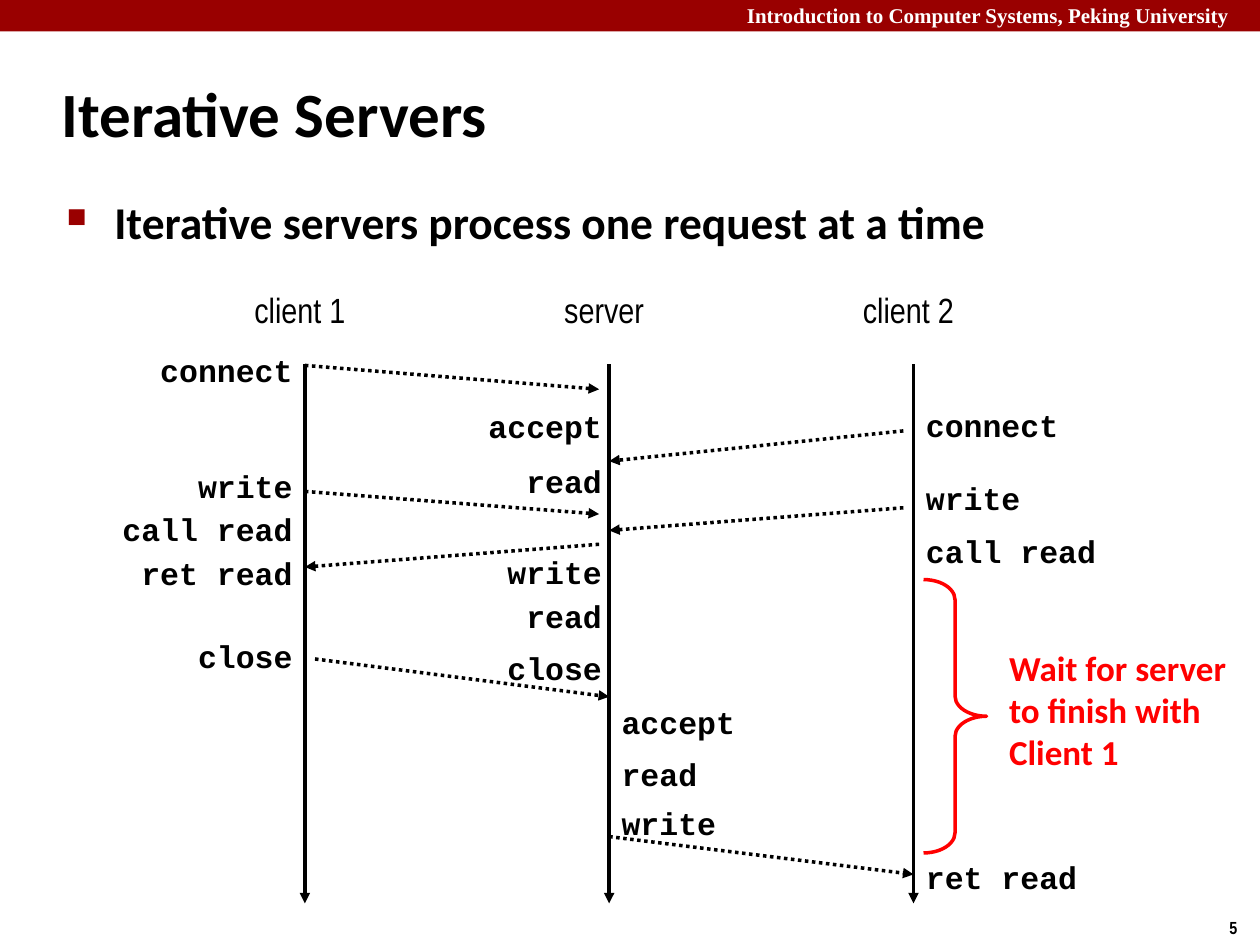
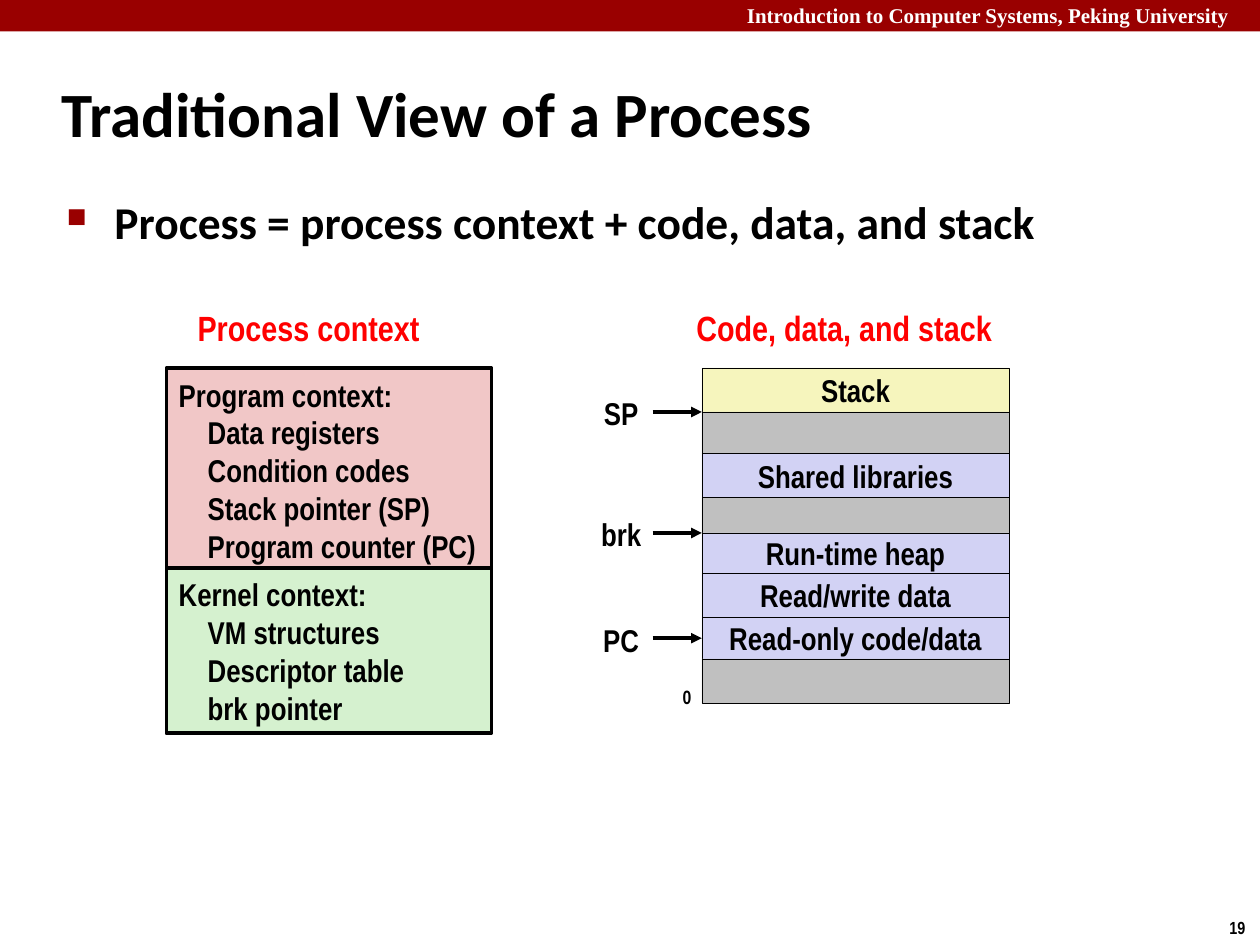
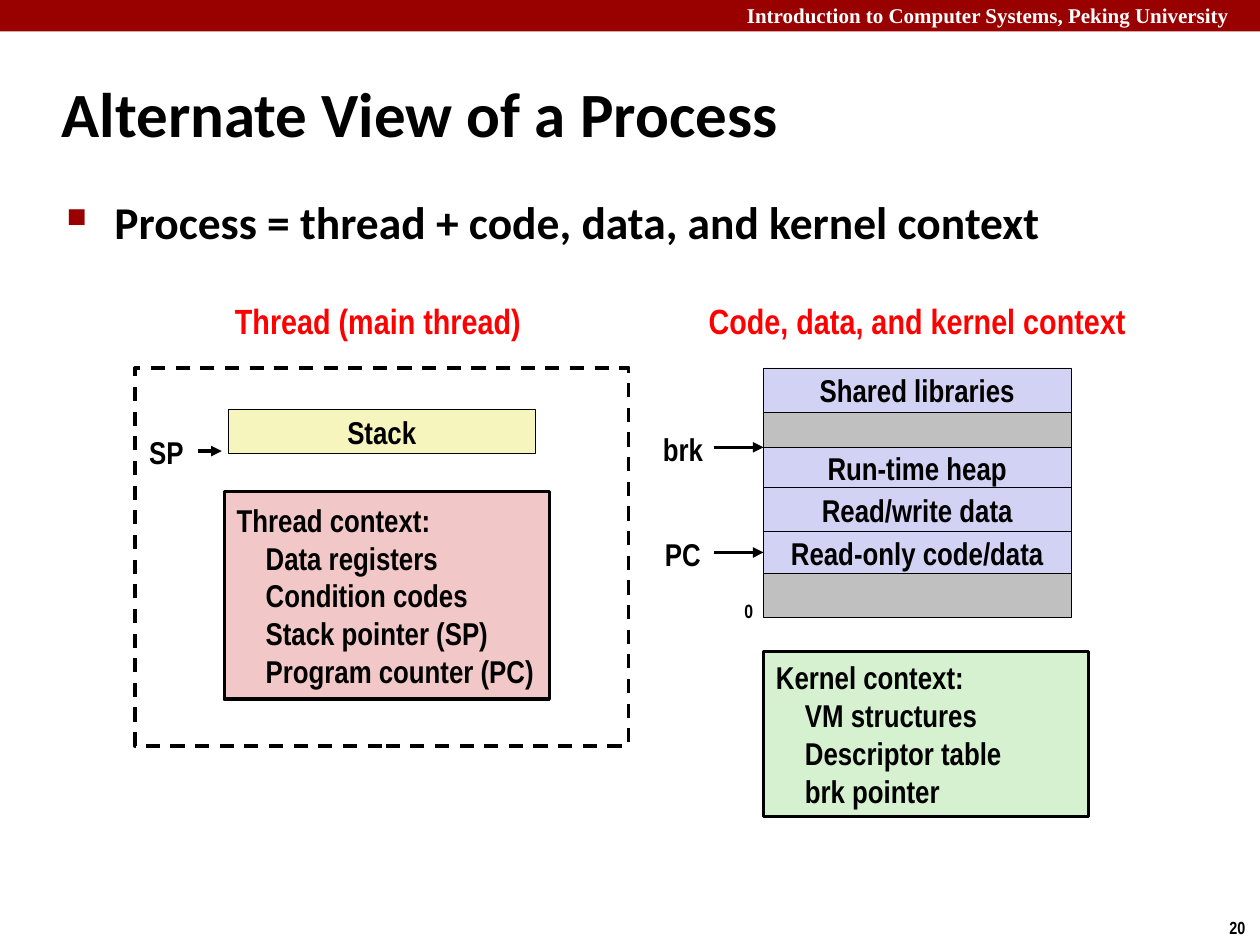
import dataclasses

import lxml.etree
import pptx
import pptx.dml.color
import pptx.enum.dml
import pptx.enum.shapes
import pptx.enum.text
import pptx.oxml.ns
import pptx.util

Inches = pptx.util.Inches
Dash = pptx.enum.dml.MSO_LINE
Shape = pptx.enum.shapes.MSO_SHAPE
Align = pptx.enum.text.PP_ALIGN
Anchor = pptx.enum.text.MSO_ANCHOR


@dataclasses.dataclass(frozen=True)
class Theme:
    band: str = "990000"
    ink: str = "000000"
    paper: str = "FFFFFF"
    accent: str = "FF0000"
    shared: str = "D2D2F4"
    free: str = "C0C0C0"
    stack: str = "F6F5BD"
    program: str = "F1C7C7"
    kernel: str = "D5F1CF"
    heading_font: str = "Calibri"
    label_font: str = "Arial Narrow"
    code_font: str = "Courier New"
    band_font: str = "Times New Roman"
    title_size: int = 36
    bullet_size: int = 26
    heading_size: int = 20
    label_size: int = 18
    band_size: int = 12
    zero_size: int = 11
    number_size: int = 10
    thick: float = 2
    thin: float = 0.25


THEME = Theme()
WIDTH, HEIGHT = 10, 7.5
COURSE = "Introduction to Computer Systems, Peking University"

# Sequence diagram: three lifelines at equal gaps
ACTORS = ["client 1", "server", "client 2"]
FIRST_LIFELINE, LIFELINE_GAP = 2.42, 2.415
LIFELINE_TOP, LIFELINE_BOTTOM = 2.89, 7.17
LEFT_CALLS = {
    "client 1": [("connect", 2.74), ("write", 3.66), ("call read", 4.0),
                 ("ret read", 4.35), ("close", 5.01)],
    "server": [("accept", 3.18), ("read", 3.62), ("write", 4.34),
               ("read", 4.69), ("close", 5.1)],
}
RIGHT_CALLS = {
    "server": [("accept", 5.53), ("read", 5.94), ("write", 6.33)],
    "client 2": [("connect", 3.17), ("write", 3.75), ("call read", 4.17),
                 ("ret read", 6.76)],
}
# sender, gap after sender, y sent, receiver, gap before receiver, y received
MESSAGES = [
    ("client 1", 0, 2.9, "server", 0.08, 3.09),
    ("client 2", 0.08, 3.42, "server", 0, 3.66),
    ("client 1", 0, 3.9, "server", 0.08, 4.08),
    ("client 2", 0.08, 4.03, "server", 0, 4.21),
    ("server", 0.08, 4.32, "client 1", 0, 4.5),
    ("client 1", 0.08, 5.23, "server", 0, 5.53),
    ("server", 0, 6.64, "client 2", 0, 6.94),
]

# Memory segments from high to low addresses: key, label, height, fill
LOWER_MEMORY = [
    ("shared", "Shared libraries", 0.35, THEME.shared),
    ("heap gap", "", 0.28, THEME.free),
    ("heap", "Run-time heap", 0.32, THEME.shared),
    ("data", "Read/write data", 0.35, THEME.shared),
    ("code", "Read-only code/data", 0.33, THEME.shared),
    ("bottom", "", 0.35, THEME.free),
]
FULL_MEMORY = [
    ("stack", "Stack", 0.35, THEME.stack),
    ("stack gap", "", 0.33, THEME.free),
] + LOWER_MEMORY
DIAGRAM_TOP, SEGMENT_WIDTH, CONTEXT_WIDTH = 2.92, 2.44, 2.58
POINTER_LENGTH = 0.39

REGISTERS = ["Data registers", "Condition codes", "Stack pointer (SP)",
             "Program counter (PC)"]
KERNEL = ["VM structures", "Descriptor table", "brk pointer"]


def rgb(value):
    return pptx.dml.color.RGBColor.from_string(value)


def write(shape, lines, *, font=THEME.label_font, size=THEME.label_size, color=THEME.ink,
          bold=True, align=Align.LEFT, anchor=Anchor.TOP, indent=0, right_inset=0.1):
    """Fill a shape with text; every line after the first is indented."""
    frame = shape.text_frame
    frame.word_wrap = True
    frame.vertical_anchor = anchor
    frame.margin_right = Inches(right_inset)
    frame.text = "\n".join([lines] if isinstance(lines, str) else lines)
    for index, paragraph in enumerate(frame.paragraphs):
        paragraph.alignment = align
        if index and indent:
            paragraph._p.get_or_add_pPr().set("marL", str(Inches(indent)))
        for run in paragraph.runs:
            run.font.name, run.font.size, run.font.bold = font, pptx.util.Pt(size), bold
            run.font.color.rgb = rgb(color)
    return shape


def add_text(slide, text, left, top, width, height=0.4, **style):
    box = slide.shapes.add_textbox(*map(Inches, (left, top, width, height)))
    return write(box, text, **style)


def add_block(slide, left, top, width, height, *, kind=Shape.RECTANGLE, fill=None,
              line=None, weight=THEME.thick, dash=None):
    shape = slide.shapes.add_shape(kind, *map(Inches, (left, top, width, height)))
    shape.shadow.inherit = False
    if fill:
        shape.fill.solid()
        shape.fill.fore_color.rgb = rgb(fill)
    else:
        shape.fill.background()
    if line:
        shape.line.color.rgb = rgb(line)
        shape.line.width = pptx.util.Pt(weight)
        if dash:
            shape.line.dash_style = dash
    else:
        shape.line.fill.background()
    return shape


def add_arrow(slide, start, end, dash=None):
    arrow = slide.shapes.add_connector(pptx.enum.shapes.MSO_CONNECTOR.STRAIGHT,
                                       *map(Inches, (*start, *end)))
    arrow.line.color.rgb = rgb(THEME.ink)
    arrow.line.width = pptx.util.Pt(THEME.thick)
    if dash:
        arrow.line.dash_style = dash
    qn = pptx.oxml.ns.qn
    properties = arrow._element.spPr
    lxml.etree.SubElement(properties.find(qn("a:ln")), qn("a:tailEnd"), type="triangle")
    lxml.etree.SubElement(properties, qn("a:effectLst"))


def add_bullet(slide, text):
    box = add_text(slide, text, 0.43, 1.49, 8.64, 0.6,
                   font=THEME.heading_font, size=THEME.bullet_size)
    properties = box.text_frame.paragraphs[0]._p.get_or_add_pPr()
    properties.set("marL", str(Inches(0.38)))
    properties.set("indent", str(-Inches(0.38)))
    qn = pptx.oxml.ns.qn
    color = lxml.etree.SubElement(properties, qn("a:buClr"))
    lxml.etree.SubElement(color, qn("a:srgbClr"), val=THEME.band)
    lxml.etree.SubElement(properties, qn("a:buSzPct"), val="60000")
    lxml.etree.SubElement(properties, qn("a:buChar"), char="■")


def add_page(presentation, title, bullet, number):
    slide = presentation.slides.add_slide(presentation.slide_layouts.get_by_name("Title Only"))
    add_block(slide, 0, 0, WIDTH, 0.25, fill=THEME.band)
    add_text(slide, COURSE, 5.83, -0.03, 4.24, 0.3, font=THEME.band_font,
             size=THEME.band_size, color=THEME.paper)
    add_text(slide, str(number), 9.66, 7.23, 0.34, 0.27, size=THEME.number_size)
    heading = slide.shapes.title
    heading.left, heading.top, heading.width, heading.height = map(
        Inches, (0.39, 0.48, 8.3, 0.83))
    write(heading, title, font=THEME.heading_font, size=THEME.title_size, anchor=Anchor.MIDDLE)
    add_bullet(slide, bullet)
    return slide


def add_heading(slide, text, center, top, **style):
    width = 4
    add_text(slide, text, center - width / 2, top, width, 0.44, align=Align.CENTER,
             anchor=Anchor.MIDDLE, size=THEME.heading_size, **style)


def add_segment(slide, label, left, top, height, fill):
    block = add_block(slide, left, top, SEGMENT_WIDTH, height, fill=fill,
                      line=THEME.ink, weight=THEME.thin)
    if label:
        write(block, label, align=Align.CENTER, anchor=Anchor.MIDDLE)


def add_memory(slide, segments, left):
    """Stack the segments downwards and return the top and bottom of each."""
    edges, top = {}, DIAGRAM_TOP
    for key, label, height, fill in segments:
        add_segment(slide, label, left, top, height, fill)
        edges[key] = (top, top + height)
        top += height
    add_text(slide, "0", left - 0.25, top - 0.19, 0.27, 0.29, size=THEME.zero_size)
    add_pointer(slide, "brk", left, edges["heap"][0])
    add_pointer(slide, "PC", left, sum(edges["code"]) / 2)
    return edges


def add_pointer(slide, label, tip, y, length=POINTER_LENGTH):
    add_arrow(slide, (tip - length, y), (tip, y))
    width = 0.8
    add_text(slide, label, tip - length - 0.25 - width / 2, y - 0.19, width,
             align=Align.CENTER, anchor=Anchor.MIDDLE)


def add_context(slide, name, items, left, top, height, fill):
    block = add_block(slide, left, top, CONTEXT_WIDTH, height, fill=fill, line=THEME.ink)
    write(block, [name] + items, anchor=Anchor.MIDDLE, indent=0.23, right_inset=0)


def add_sequence(slide):
    lifelines = {actor: FIRST_LIFELINE + index * LIFELINE_GAP
                 for index, actor in enumerate(ACTORS)}
    for actor, x in lifelines.items():
        add_heading(slide, actor, x - 0.04, 2.24, bold=False)
        add_arrow(slide, (x, LIFELINE_TOP), (x, LIFELINE_BOTTOM))
    call_width = 1.8
    for calls, align in ((LEFT_CALLS, Align.RIGHT), (RIGHT_CALLS, Align.LEFT)):
        for actor, entries in calls.items():
            left = lifelines[actor]
            if align == Align.RIGHT:
                left -= call_width - (0.04 if actor == "server" else 0)
            for call, top in entries:
                add_text(slide, call, left, top, call_width,
                         font=THEME.code_font, align=align)
    for sender, start_gap, sent, receiver, end_gap, received in MESSAGES:
        start, end = lifelines[sender], lifelines[receiver]
        direction = 1 if end > start else -1
        add_arrow(slide, (start + direction * start_gap, sent),
                  (end - direction * end_gap, received), Dash.ROUND_DOT)


def build_iterative(presentation):
    slide = add_page(presentation, "Iterative Servers",
                     "Iterative servers process one request at a time", 5)
    add_sequence(slide)
    brace = add_block(slide, 7.33, 4.6, 0.5, 2.17, kind=Shape.RIGHT_BRACE, line=THEME.accent)
    brace.adjustments[0] = 0.32
    add_text(slide, "Wait for server to finish with Client 1", 7.91, 5.08, 2.09, 1.11,
             font=THEME.heading_font, size=THEME.heading_size, color=THEME.accent)


def build_traditional(presentation):
    slide = add_page(presentation, "Traditional View of a Process",
                     "Process = process context + code, data, and stack", 19)
    add_heading(slide, "Process context", 2.45, 2.38, color=THEME.accent)
    add_heading(slide, "Code, data, and stack", 6.7, 2.38, color=THEME.accent)
    context_left, memory_left = 1.32, 5.57
    add_context(slide, "Program context:", REGISTERS, context_left, DIAGRAM_TOP, 1.62,
                THEME.program)
    add_context(slide, "Kernel context:", KERNEL, context_left, 4.51, 1.31, THEME.kernel)
    edges = add_memory(slide, FULL_MEMORY, memory_left)
    add_pointer(slide, "SP", memory_left, edges["stack"][1])


def build_alternate(presentation):
    slide = add_page(presentation, "Alternate View of a Process",
                     "Process = thread + code, data, and kernel context", 20)
    add_heading(slide, "Thread (main thread)", 3, 2.32, color=THEME.accent)
    add_heading(slide, "Code, data, and kernel context", 7.28, 2.32, color=THEME.accent)
    add_block(slide, 1.07, DIAGRAM_TOP, 3.92, 3, line=THEME.ink, dash=Dash.DASH)
    add_segment(slide, "Stack", 1.81, 3.25, 0.35, THEME.stack)
    add_pointer(slide, "SP", 1.76, 3.58, length=0.19)
    add_context(slide, "Thread context:", REGISTERS, 1.78, 3.9, 1.65, THEME.program)
    memory_left = 6.06
    add_memory(slide, LOWER_MEMORY, memory_left)
    add_context(slide, "Kernel context:", KERNEL, memory_left, 5.17, 1.31, THEME.kernel)


def main():
    presentation = pptx.Presentation()
    presentation.slide_width, presentation.slide_height = Inches(WIDTH), Inches(HEIGHT)
    for build in (build_iterative, build_traditional, build_alternate):
        build(presentation)
    presentation.save("out.pptx")


if __name__ == "__main__":
    main()
